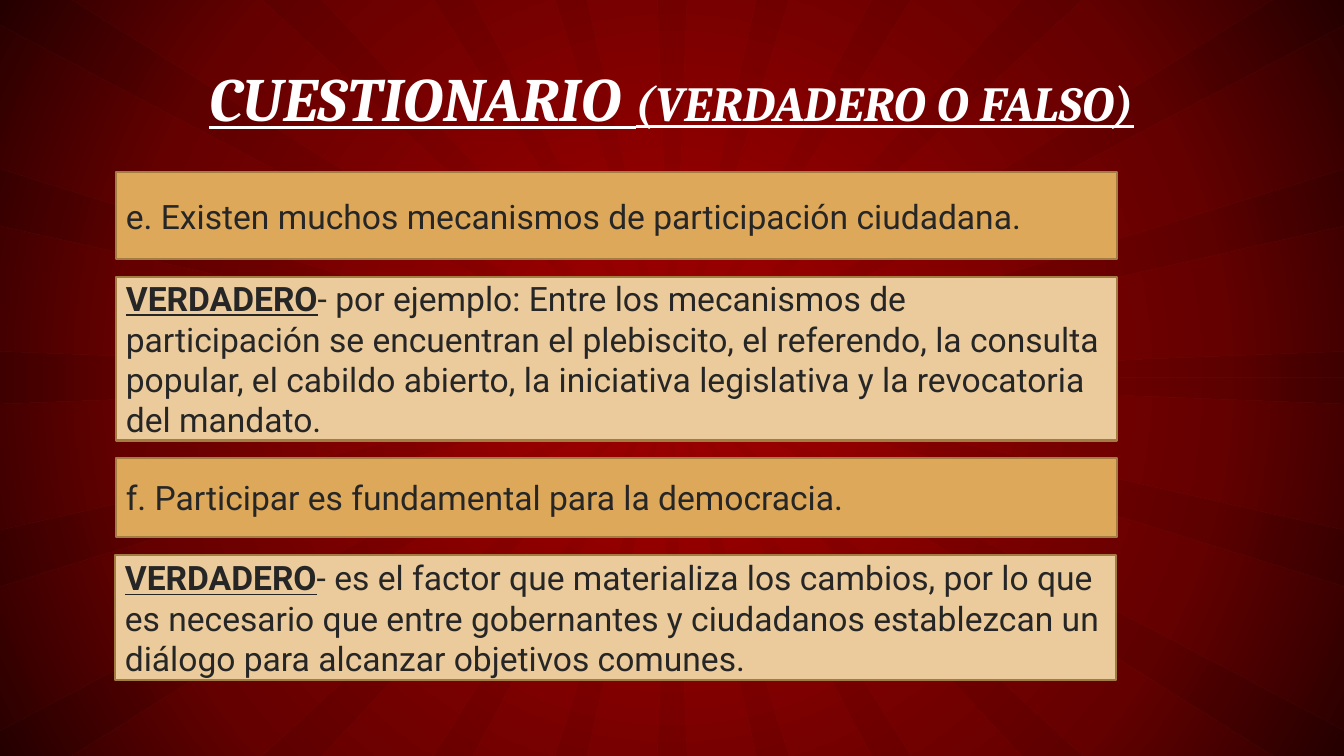
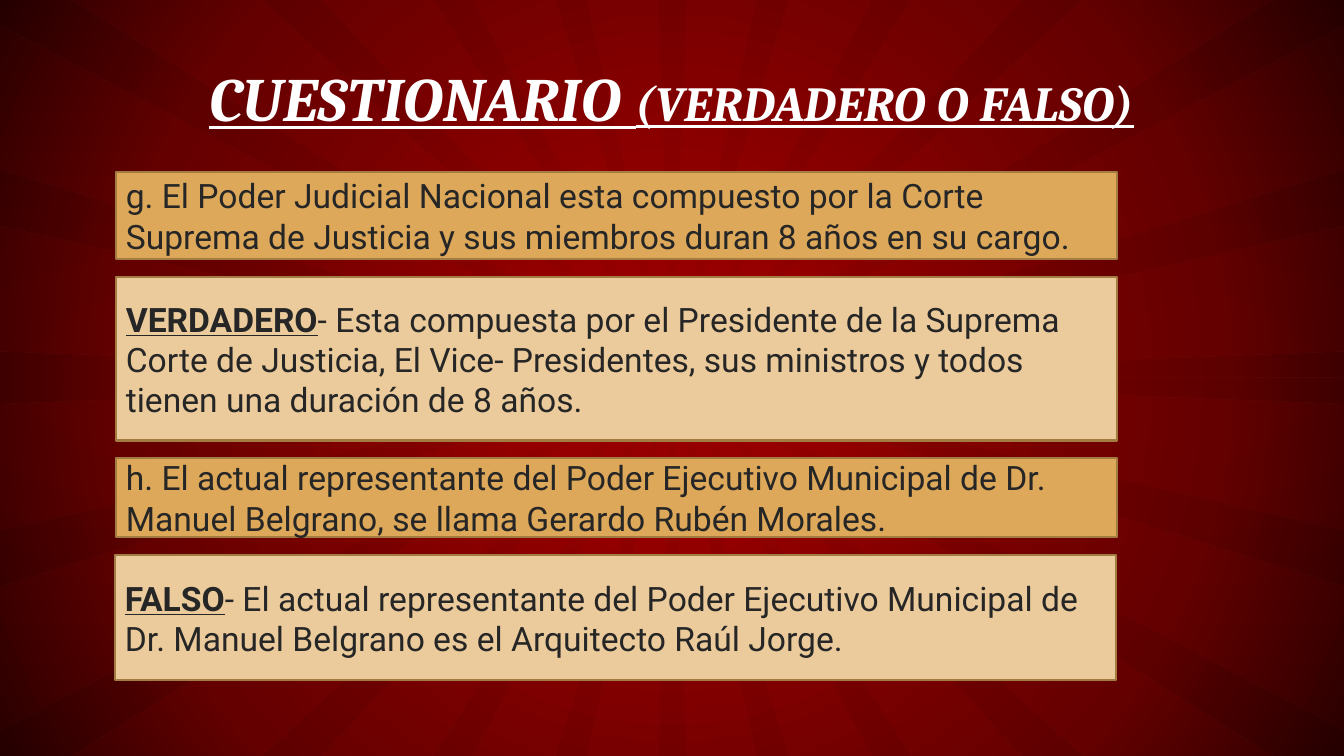
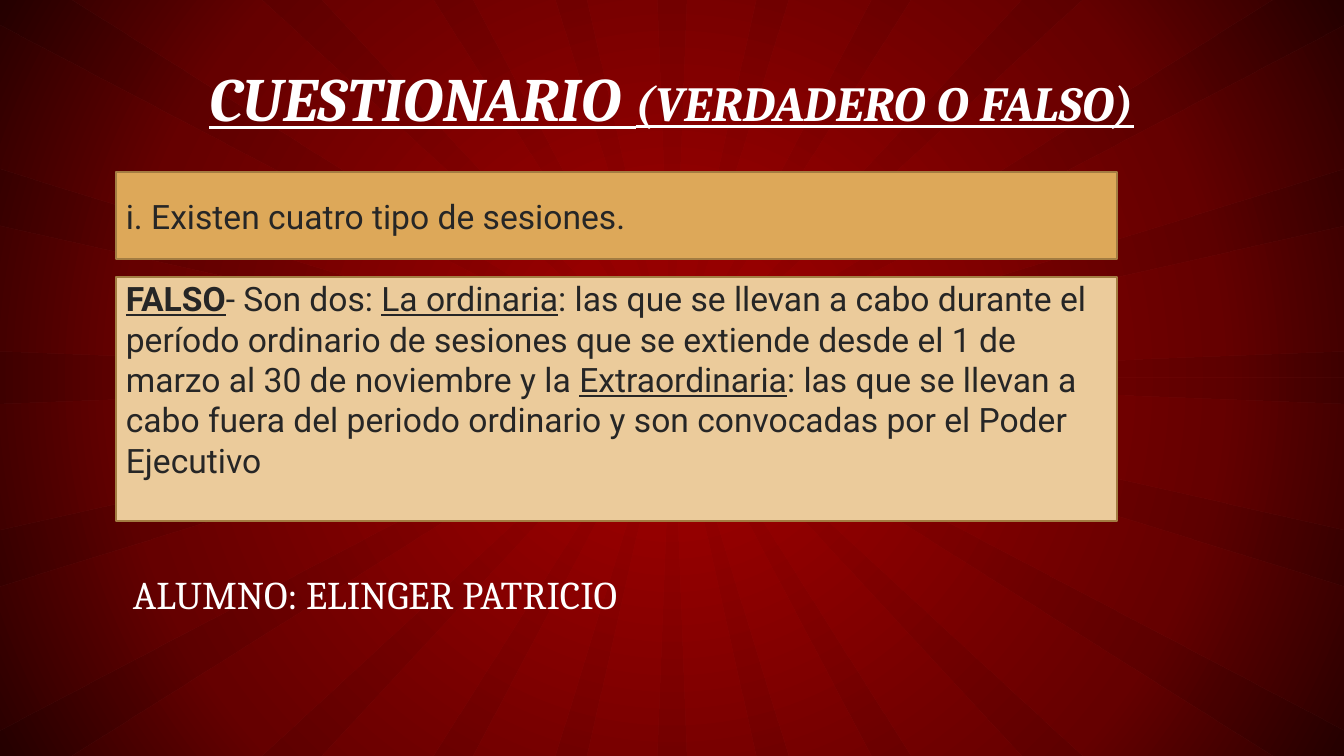
import pptx
import pptx.dml.color
import pptx.enum.shapes
import pptx.enum.text
import pptx.oxml
import pptx.oxml.ns
import pptx.util

Inches = pptx.util.Inches
Pt = pptx.util.Pt
ALIGN = pptx.enum.text.PP_ALIGN
ANCHOR = pptx.enum.text.MSO_ANCHOR

WIDTH, HEIGHT = 13.33, 7.5
WHITE, INK = "FFFFFF", "262626"
STATEMENT_FILL, ANSWER_FILL, BOX_LINE = "DDA859", "EBCB9B", "A37C42"
HEADING_FONT, BODY_FONT = "Cambria", "Roboto"
BACKGROUND_STOPS = [(17, "960000", 100), (71, "650000", 100), (100, "290000", 100)]
RAY_STOPS = [(0, "000000", 1), (100, "000000", 10)]
RAYS_ACROSS = [(2.6, 3.19), (4.3, 4.69), (5.51, 5.82), (6.52, 6.81),
               (7.5, 7.82), (8.64, 9.03), (10.13, 10.73)]
RAYS_DOWN = [(1.68, 2.24), (3.49, 4.01), (5.26, 5.82)]
CORNER_WIDTH, CORNER_HEIGHT = 0.71, 0.25
BOX_WIDTH = 9.93
FIRST_ROWS = [(1.15, 1.71, 0.86), (1.15, 2.75, 1.62), (1.15, 4.54, 0.79), (1.14, 5.51, 1.24)]
LAST_ROWS = [(1.15, 1.71, 0.86), (1.15, 2.75, 2.42)]

SLIDES = [
    (FIRST_ROWS, [
        [("e. Existen muchos mecanismos de participación ciudadana.", "")],
        [("VERDADERO", "bu"),
         ("- por ejemplo: Entre los mecanismos de participación se encuentran el plebiscito, "
          "el referendo, la consulta popular, el cabildo abierto, la iniciativa legislativa "
          "y la revocatoria del mandato.", "")],
        [("f. Participar es fundamental para la democracia.", "")],
        [("VERDADERO", "bu"),
         ("- es el factor que materializa los cambios, por lo que es necesario que entre "
          "gobernantes y ciudadanos establezcan un diálogo para alcanzar objetivos comunes.", "")],
    ]),
    (FIRST_ROWS, [
        [("g. El Poder Judicial Nacional esta compuesto por la Corte Suprema de Justicia "
          "y sus miembros duran 8 años en su cargo.", "")],
        [("VERDADERO", "bu"),
         ("- Esta compuesta por el Presidente de la Suprema Corte de Justicia, El Vice- "
          "Presidentes, sus ministros y todos tienen una duración de 8 años.", "")],
        [("h. El actual representante del Poder Ejecutivo Municipal de Dr. Manuel Belgrano, "
          "se llama Gerardo Rubén Morales.", "")],
        [("FALSO", "bu"),
         ("- El actual representante del Poder Ejecutivo Municipal de Dr. Manuel Belgrano "
          "es el Arquitecto Raúl Jorge.", "")],
    ]),
    (LAST_ROWS, [
        [("i. Existen cuatro tipo de sesiones.", "")],
        [("FALSO", "bu"), ("- Son dos: ", ""), ("La ordinaria", "u"),
         (": las que se llevan a cabo durante el período ordinario de sesiones que se "
          "extiende desde el 1 de marzo al 30 de noviembre y la ", ""),
         ("Extraordinaria", "u"),
         (": las que se llevan a cabo fuera del periodo ordinario y son convocadas por "
          "el Poder Ejecutivo", "")],
    ]),
]


def color(value):
    """Turn a hex string into a colour."""
    return pptx.dml.color.RGBColor.from_string(value)


def set_font(font, name, size, value):
    """Set the family, size and colour of a font."""
    font.name = name
    font.size = Pt(size)
    font.color.rgb = color(value)


def set_insets(frame, horizontal, vertical):
    """Wrap a text frame and set its insets."""
    frame.word_wrap = True
    frame.margin_left = frame.margin_right = Inches(horizontal)
    frame.margin_top = frame.margin_bottom = Inches(vertical)


def place(shape, left, top, width, height):
    """Move and size a shape in inches."""
    shape.left, shape.top = Inches(left), Inches(top)
    shape.width, shape.height = Inches(width), Inches(height)


def set_radial_fill(properties, stops):
    """Replace a solid fill by a gradient that runs out from the centre."""
    stop_xml = "".join(
        f'<a:gs pos="{position * 1000}"><a:srgbClr val="{value}">'
        f'<a:alpha val="{opacity * 1000}"/></a:srgbClr></a:gs>'
        for position, value, opacity in stops)
    gradient = pptx.oxml.parse_xml(
        f'<a:gradFill {pptx.oxml.ns.nsdecls("a")} rotWithShape="1"><a:gsLst>{stop_xml}</a:gsLst>'
        '<a:path path="circle"><a:fillToRect l="50000" t="50000" r="50000" b="50000"/></a:path>'
        '</a:gradFill>')
    properties.replace(properties.find(pptx.oxml.ns.qn("a:solidFill")), gradient)


def ray_outlines():
    """List the outer points of each ray."""
    outlines = [[(start, y), (end, y)] for y in (0, HEIGHT) for start, end in RAYS_ACROSS]
    outlines += [[(x, start), (x, end)] for x in (0, WIDTH) for start, end in RAYS_DOWN]
    outlines += [[(abs(x - CORNER_WIDTH), y), (x, y), (x, abs(y - CORNER_HEIGHT))]
                 for x in (0, WIDTH) for y in (0, HEIGHT)]
    return outlines


def remove_footers(holder):
    """Remove the date, footer and number placeholders of a layout or master."""
    kinds = pptx.enum.shapes.PP_PLACEHOLDER
    for placeholder in list(holder.placeholders):
        if placeholder.placeholder_format.type in (kinds.DATE, kinds.FOOTER, kinds.SLIDE_NUMBER):
            holder.shapes.element.remove(placeholder.element)


def decorate_layout(layout, slide):
    """Give the layout its background and rays, drawing the rays by way of a slide."""
    layout.background.fill.solid()
    background = layout.element.find(".//" + pptx.oxml.ns.qn("p:bgPr"))
    set_radial_fill(background, BACKGROUND_STOPS)
    center = Inches(WIDTH / 2), Inches(HEIGHT / 2)
    builder = slide.shapes.build_freeform(*center)
    for outline in ray_outlines():
        builder.move_to(*center)
        builder.add_line_segments([(Inches(x), Inches(y)) for x, y in outline], close=True)
    rays = builder.convert_to_shape()
    rays.shadow.inherit = False
    rays.line.fill.background()
    rays.fill.solid()
    set_radial_fill(rays.element.spPr, RAY_STOPS)
    layout.shapes.element.insert(2, rays.element)


def add_title(slide):
    """Fill and format the title placeholder."""
    title = slide.shapes.title
    place(title, 1, 0.53, 11.32, 0.88)
    frame = title.text_frame
    set_insets(frame, 0.13, 0.07)
    frame.auto_size = pptx.enum.text.MSO_AUTO_SIZE.NONE
    frame.vertical_anchor = ANCHOR.BOTTOM
    paragraph = frame.paragraphs[0]
    paragraph.alignment = ALIGN.CENTER
    paragraph.line_spacing = 0.9
    for text, size in (("CUESTIONARIO ", 44), ("(VERDADERO O FALSO)", 35)):
        run = paragraph.add_run()
        run.text = text
        set_font(run.font, HEADING_FONT, size, WHITE)
        run.font.bold = run.font.italic = run.font.underline = True


def add_box(slide, left, top, height, fill, runs):
    """Add a filled box with left-aligned text."""
    box = slide.shapes.add_shape(
        pptx.enum.shapes.MSO_SHAPE.RECTANGLE,
        Inches(left), Inches(top), Inches(BOX_WIDTH), Inches(height))
    box.shadow.inherit = False
    box.fill.solid()
    box.fill.fore_color.rgb = color(fill)
    box.line.color.rgb = color(BOX_LINE)
    box.line.width = Pt(1.5)
    frame = box.text_frame
    set_insets(frame, 0.1, 0.05)
    frame.vertical_anchor = ANCHOR.MIDDLE
    paragraph = frame.paragraphs[0]
    paragraph.alignment = ALIGN.LEFT
    set_font(paragraph.font, BODY_FONT, 24, INK)
    for text, style in runs:
        run = paragraph.add_run()
        run.text = text
        set_font(run.font, BODY_FONT, 24, INK)
        run.font.bold = "b" in style
        run.font.underline = "u" in style
    return box


def add_signature(slide):
    """Add the line with the student's name."""
    signature = slide.shapes.add_textbox(Inches(0.79), Inches(5.64), Inches(5.86), Inches(1.11))
    frame = signature.text_frame
    set_insets(frame, 0.13, 0.07)
    paragraph = frame.paragraphs[0]
    paragraph.text = "ALUMNO: ELINGER PATRICIO"
    paragraph.alignment = ALIGN.CENTER
    paragraph.line_spacing = 0.9
    set_font(paragraph.font, HEADING_FONT, 28, WHITE)


def main():
    """Build and save the presentation."""
    presentation = pptx.Presentation()
    presentation.slide_width, presentation.slide_height = Inches(WIDTH), Inches(HEIGHT)
    layout = presentation.slide_layouts.get_by_name("Title Only")
    remove_footers(layout)
    remove_footers(presentation.slide_master)
    for rows, texts in SLIDES:
        slide = presentation.slides.add_slide(layout)
        add_title(slide)
        for index, ((left, top, height), runs) in enumerate(zip(rows, texts)):
            fill = ANSWER_FILL if index % 2 else STATEMENT_FILL
            box = add_box(slide, left, top, height, fill, runs)
    box.text_frame.vertical_anchor = ANCHOR.TOP
    box.text_frame.margin_top = Inches(0.01)
    add_signature(slide)
    decorate_layout(layout, slide)
    presentation.save("out.pptx")


if __name__ == "__main__":
    main()
